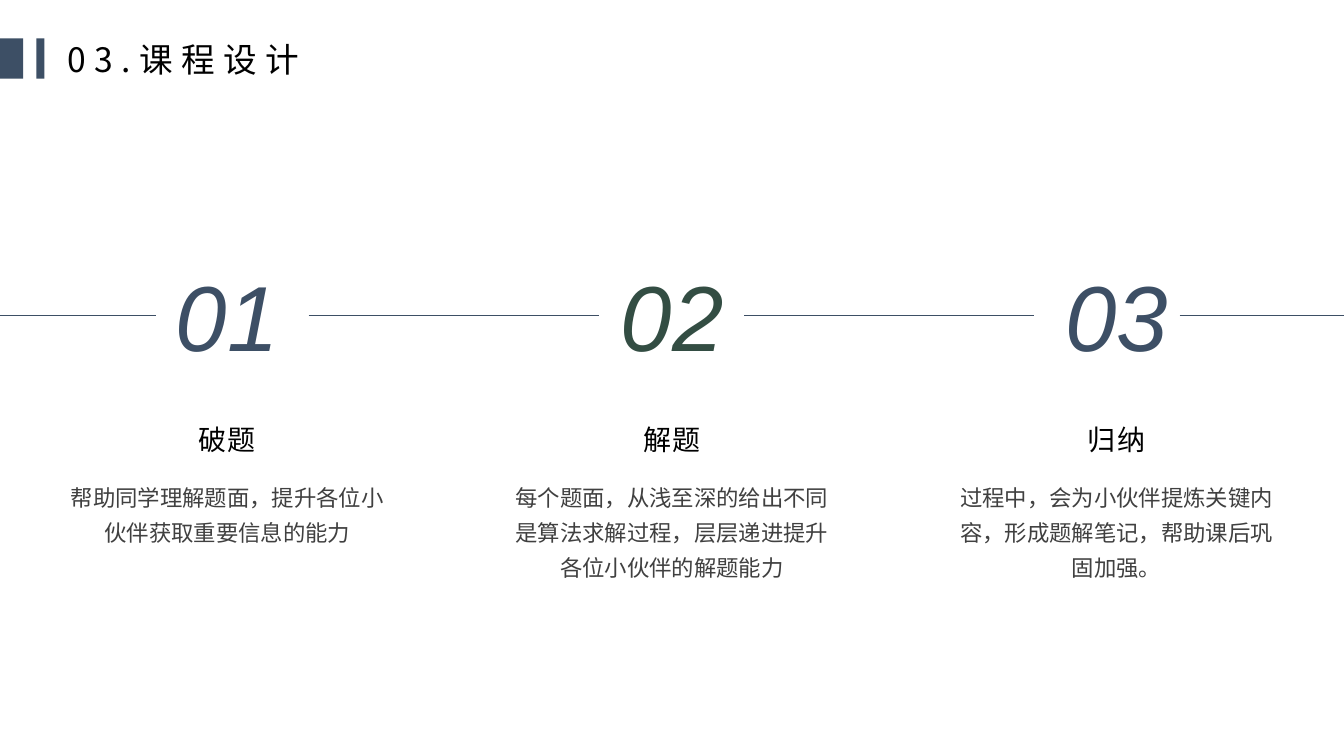
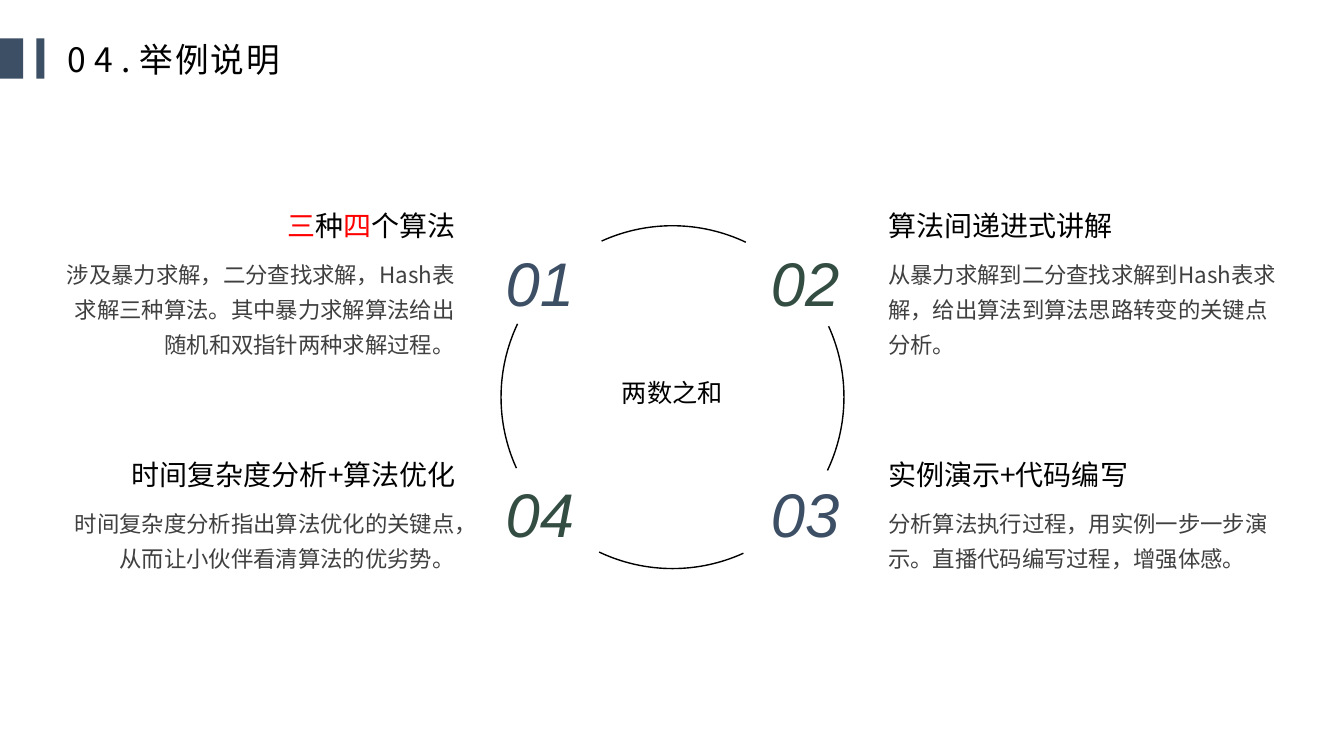
from lxml.etree import SubElement
from pptx import Presentation
from pptx.dml.color import RGBColor
from pptx.enum.shapes import MSO_CONNECTOR, MSO_SHAPE
from pptx.enum.text import MSO_ANCHOR, MSO_AUTO_SIZE as AUTO_SIZE, PP_ALIGN
from pptx.oxml.ns import qn
from pptx.util import Inches, Pt

NAVY = RGBColor(0x3D, 0x4F, 0x65)
GREEN = RGBColor(0x33, 0x4D, 0x43)
BLACK = RGBColor(0x00, 0x00, 0x00)
GRAY = RGBColor(0x40, 0x40, 0x40)
RED = RGBColor(0xFF, 0x00, 0x00)
CJK_FONT = "Noto Sans CJK SC"
NUMBER_FONT = "Arial"

SLIDE_WIDTH, SLIDE_HEIGHT = 13.33, 7.5
TITLE_ONLY = 5

HEADING = {"size": 20}
DETAIL = {"size": 16, "color": GRAY, "line_spacing": 1.3}
NUMBER = {"font": NUMBER_FONT, "italic": True, "align": PP_ALIGN.CENTER}

LINE_Y = 3.13
LINE_SPANS = [(0, 1.55), (3.06, 5.94), (7.38, 10.26), (11.7, SLIDE_WIDTH)]
COLUMN_PITCH = 4.41
COURSE_STEPS = [
    ("01", NAVY, "破题", "帮助同学理解题面，提升各位小伙伴获取重要信息的能力"),
    ("02", GREEN, "解题", "每个题面，从浅至深的给出不同是算法求解过程，层层递进提升各位小伙伴的解题能力"),
    ("03", NAVY, "归纳", "过程中，会为小伙伴提炼关键内容，形成题解笔记，帮助课后巩固加强。"),
]

# Number, colour, column, row, heading, detail
EXAMPLE_POINTS = [
    ("01", NAVY, 0, 0,
     [("三", {"color": RED}), ("种", {}), ("四", {"color": RED}), ("个算法", {})],
     "涉及暴力求解，二分查找求解，Hash表求解三种算法。其中暴力求解算法给出随机和双指针两种求解过程。"),
    ("02", GREEN, 1, 0, "算法间递进式讲解",
     "从暴力求解到二分查找求解到Hash表求解，给出算法到算法思路转变的关键点分析。"),
    ("03", NAVY, 1, 1, "实例演示+代码编写",
     "分析算法执行过程，用实例一步一步演示。直播代码编写过程，增强体感。"),
    ("04", GREEN, 0, 1, "时间复杂度分析+算法优化",
     "时间复杂度分析指出算法优化的关键点，从而让小伙伴看清算法的优劣势。"),
]


def format_run(run, size, font=CJK_FONT, color=BLACK, italic=None, tracking=0):
    run.font.size = Pt(size)
    run.font.name = font
    run.font.italic = italic
    run.font.color.rgb = color
    properties = run.font._element
    SubElement(properties, qn("a:ea")).set("typeface", CJK_FONT)
    if tracking:
        properties.set("spc", str(int(tracking * 100)))


def write(frame, text, align=PP_ALIGN.LEFT, line_spacing=None, **style):
    """Fill a frame with a string, or with (string, style changes) pairs."""
    paragraph = frame.paragraphs[0]
    paragraph.alignment = align
    if line_spacing:
        paragraph.line_spacing = line_spacing
    for words, changes in [(text, {})] if isinstance(text, str) else text:
        run = paragraph.add_run()
        run.text = words
        format_run(run, **{**style, **changes})


def clear_margins(frame):
    frame.margin_left = frame.margin_top = frame.margin_right = frame.margin_bottom = 0


def add_text(slide, box, text, wrap=True, grow=True, inset=True,
             anchor=MSO_ANCHOR.TOP, **style):
    frame = slide.shapes.add_textbox(*map(Inches, box)).text_frame
    frame.word_wrap = wrap
    frame.auto_size = AUTO_SIZE.SHAPE_TO_FIT_TEXT if grow else AUTO_SIZE.NONE
    frame.vertical_anchor = anchor
    if not inset:
        clear_margins(frame)
    write(frame, text, **style)


def add_line(slide, start_x, end_x, y):
    line = slide.shapes.add_connector(
        MSO_CONNECTOR.STRAIGHT, *map(Inches, (start_x, y, end_x, y)))
    line.line.color.rgb = NAVY
    line.line.width = Pt(0.5)
    SubElement(line._element.spPr, qn("a:effectLst"))


def add_arc(slide, box, rotation):
    arc = slide.shapes.add_shape(MSO_SHAPE.ARC, *map(Inches, box))
    arc.adjustments[0], arc.adjustments[1] = 147.34, 177.21
    arc.rotation = rotation
    arc.fill.background()
    arc.line.color.rgb = BLACK
    arc.line.width = Pt(1)
    arc.shadow.inherit = False


def style_layout(layout, slide):
    """Set the shared title frame and move the title bars into the layout."""
    title = layout.placeholders[0]
    title.left, title.top, title.width, title.height = map(Inches, (0.67, 0.25, 4.68, 0.67))
    frame = title.text_frame
    frame.vertical_anchor = MSO_ANCHOR.MIDDLE
    frame.auto_size = AUTO_SIZE.NONE
    clear_margins(frame)
    for left, width in [(0, 0.23), (0.36, 0.08)]:
        bar = slide.shapes.add_shape(
            MSO_SHAPE.RECTANGLE, *map(Inches, (left, 0.38, width, 0.4)))
        bar.fill.solid()
        bar.fill.fore_color.rgb = NAVY
        bar.line.fill.background()
        bar.shadow.inherit = False
        layout.shapes.element.append(bar.element)


def write_title(slide, text):
    write(slide.shapes.title.text_frame, text, size=24, tracking=6)


def build_course_design(slide):
    write_title(slide, "03.课程设计")
    for start_x, end_x in LINE_SPANS:
        add_line(slide, start_x, end_x, LINE_Y)
    for index, (number, color, heading, detail) in enumerate(COURSE_STEPS):
        center = SLIDE_WIDTH / 2 + (index - 1) * COLUMN_PITCH
        add_text(slide, (center - 1.04, 2.52, 2.08, 1.21), number,
                 size=66, color=color, **NUMBER)
        add_text(slide, (center - 1.22, 4.19, 2.44, 0.34), heading, inset=False,
                 align=PP_ALIGN.CENTER, tracking=1, **HEADING)
        add_text(slide, (center - 1.6, 4.72, 3.2, 1.18), detail, inset=False,
                 grow=False, align=PP_ALIGN.CENTER, **DETAIL)


def build_example(slide):
    write_title(slide, [("04.", {}), ("举例说明", {"tracking": 1.5})])
    for quarter in range(4):
        add_arc(slide, (4.97, 2.24, 3.4, 3.4), quarter * 90)
    add_text(slide, (6.07, 3.69, 1.21, 0.4), "两数之和", wrap=False,
             size=18, font=NUMBER_FONT)
    for number, color, column, row, heading, detail in EXAMPLE_POINTS:
        add_text(slide, (4.91 + column * 2.63, 2.38 + row * 2.29, 0.89, 0.84), number,
                 wrap=False, anchor=MSO_ANCHOR.MIDDLE, size=44, color=color, **NUMBER)
        top = 2.02 + row * 2.47
        align = PP_ALIGN.LEFT if column else PP_ALIGN.RIGHT
        heading_left, detail_left = (8.71, 8.71) if column else (1.06, 0.46)
        add_text(slide, (heading_left, top, 3.56, 0.44), heading, align=align, **HEADING)
        add_text(slide, (detail_left, top + 0.44, 4.15, 0.77 if row else 1.12), detail,
                 align=align, **DETAIL)


def main():
    deck = Presentation()
    deck.slide_width, deck.slide_height = Inches(SLIDE_WIDTH), Inches(SLIDE_HEIGHT)
    layout = deck.slide_layouts[TITLE_ONLY]
    course_design, example = [deck.slides.add_slide(layout) for _ in range(2)]
    style_layout(layout, course_design)
    build_course_design(course_design)
    build_example(example)
    deck.save("out.pptx")


if __name__ == "__main__":
    main()
